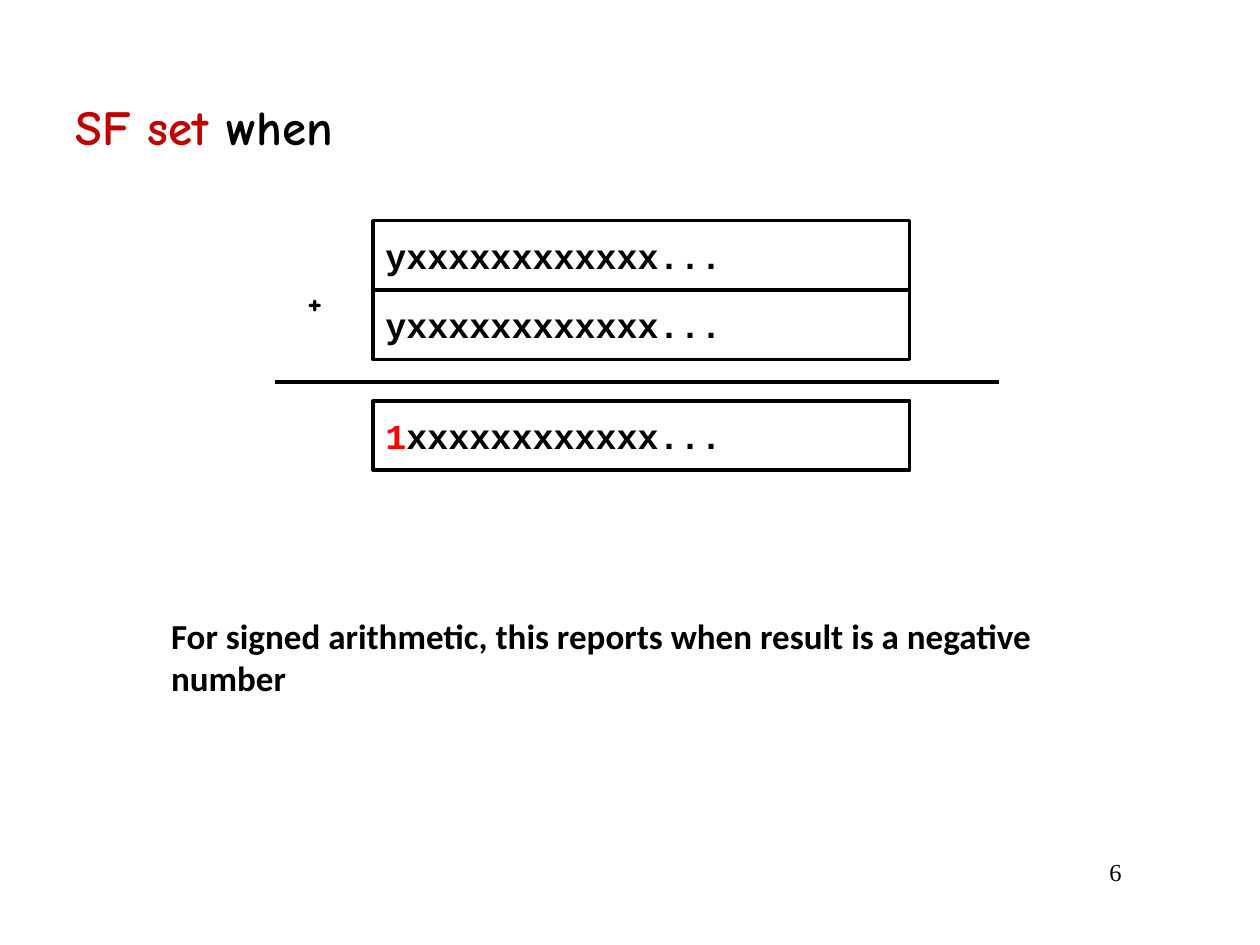
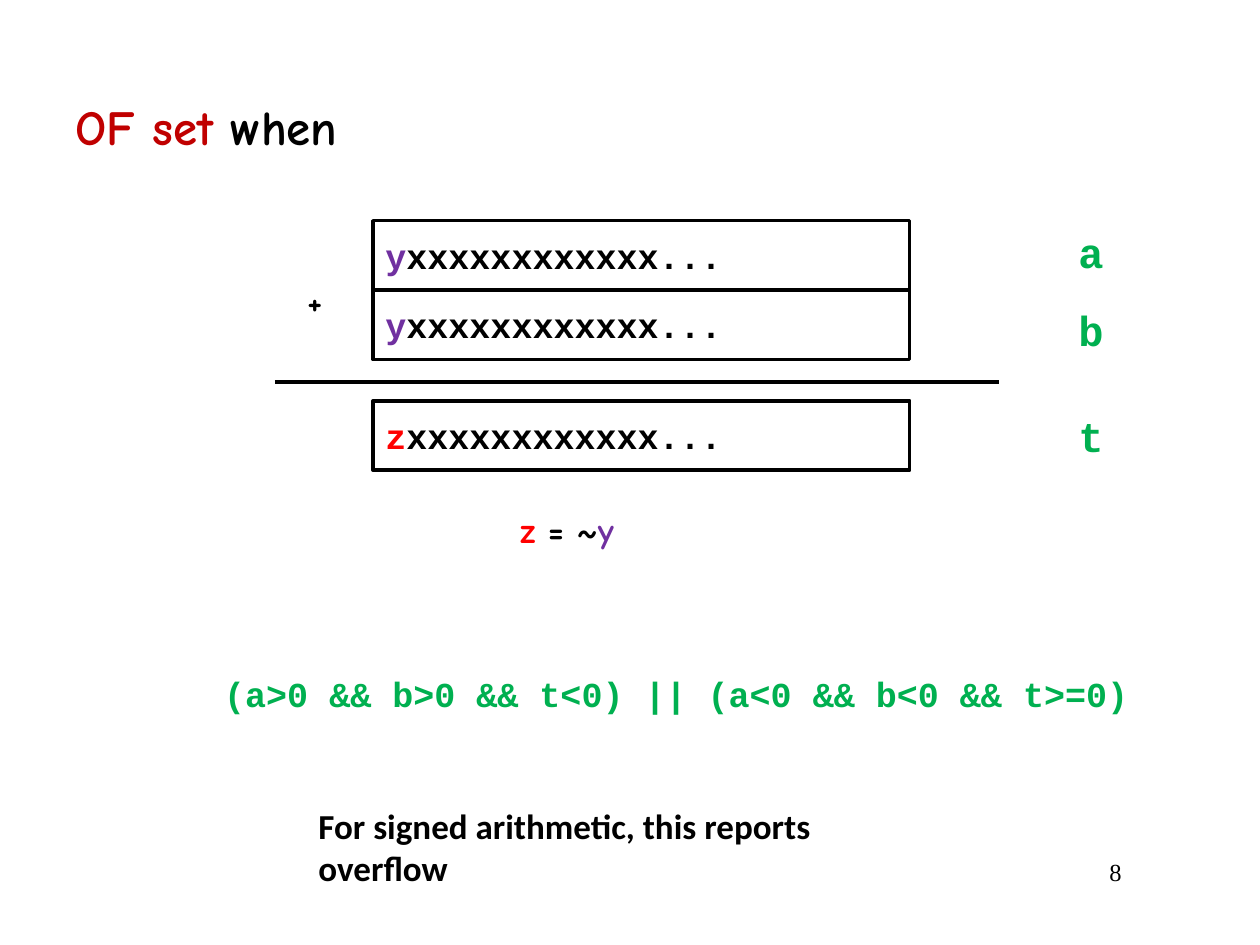
from pptx import Presentation
from pptx.dml.color import RGBColor
from pptx.enum.shapes import MSO_CONNECTOR, MSO_SHAPE
from pptx.enum.text import MSO_ANCHOR, PP_ALIGN
from pptx.oxml.ns import qn
from pptx.util import Cm, Pt
from lxml import etree

LINE, RECT = MSO_CONNECTOR.STRAIGHT, MSO_SHAPE.RECTANGLE
TOP, MIDDLE = MSO_ANCHOR.TOP, MSO_ANCHOR.MIDDLE
LEFT, RIGHT = PP_ALIGN.LEFT, PP_ALIGN.RIGHT

BLACK = RGBColor(0x00, 0x00, 0x00)
DARK_RED = RGBColor(0xC0, 0x00, 0x00)
RED = RGBColor(0xFF, 0x00, 0x00)
PURPLE = RGBColor(0x70, 0x30, 0xA0)
GREEN = RGBColor(0x00, 0xB0, 0x50)

HAND, BODY, CODE, SERIF = "Comic Neue", "Calibri", "Courier New", "Times New Roman"

BITS = "xxxxxxxxxxxx..."
ROW_LEFT, ROW_WIDTH, ROW_HEIGHT = 7.52, 10.82, 1.4
ROW_TOPS = (4.45, 4.45 + ROW_HEIGHT, 8.08)
LABEL_TOPS = (4.45, 6.02, 8.15)

SLIDES = [
    {
        "flag": "SF set ",
        "page": "6",
        "rows": [
            [("y" + BITS, BLACK)],
            [("y" + BITS, BLACK)],
            [("1", RED), (BITS, BLACK)],
        ],
        "labels": [],
        "texts": [
            ((3.2, 12.27, 19.96, 1.12), BODY, 0,
             [("For signed arithmetic, this reports when result is a negative number", BLACK)]),
        ],
    },
    {
        "flag": "OF set ",
        "page": "8",
        "rows": [
            [("y", PURPLE), (BITS, BLACK)],
            [("y", PURPLE), (BITS, BLACK)],
            [("z", RED), (BITS, BLACK)],
        ],
        "labels": ["a", "b", "t"],
        "texts": [
            ((10.24, 10.13, 3.94, 2.06), HAND, 0,
             [("z", RED), (" = ~", BLACK), ("y", PURPLE)]),
            ((6.17, 16.1, 13.06, 1.12), BODY, 0,
             [("For signed arithmetic, this reports overflow", BLACK)]),
            ((3.38, 13.44, 19.89, 1.12), CODE, 0.89,
             [("(a>0 && b>0 && t<0) || (a<0 && b<0 && t>=0)", GREEN)]),
        ],
    },
]


def write(sp, runs, font, size=20, bold=True, align=LEFT, anchor=TOP, indent=0):
    tf = sp.text_frame
    tf.word_wrap = True
    tf.vertical_anchor = anchor
    p = tf.paragraphs[0]
    p.alignment = align
    if indent:
        pPr = p._p.get_or_add_pPr()
        pPr.set("marL", str(Cm(indent)))
        pPr.set("indent", "0")
    for text, color in runs:
        r = p.add_run()
        r.text = text
        r.font.name = font
        r.font.size = Pt(size)
        r.font.bold = bold
        r.font.color.rgb = color


def add_text(s, box, runs, font, **style):
    write(s.shapes.add_textbox(*map(Cm, box)), runs, font, **style)


def add_row(s, top, runs):
    sp = s.shapes.add_shape(RECT, Cm(ROW_LEFT), Cm(top), Cm(ROW_WIDTH), Cm(ROW_HEIGHT))
    sp.shadow.inherit = False
    sp.fill.background()
    sp.line.color.rgb = BLACK
    sp.line.width = Pt(2)
    write(sp, runs, CODE, anchor=MIDDLE)


def add_sum_line(s):
    line = s.shapes.add_connector(LINE, Cm(5.54), Cm(7.7), Cm(20.14), Cm(7.7))
    line.line.color.rgb = BLACK
    line.line.width = Pt(2)
    etree.SubElement(line._element.spPr, qn("a:effectLst"))


prs = Presentation()
prs.slide_width, prs.slide_height = Cm(25.4), Cm(19.05)

for content in SLIDES:
    s = prs.slides.add_slide(prs.slide_layouts[6])
    add_text(s, (1.27, 1.27, 22.43, 2.54), [(content["flag"], DARK_RED), ("when", BLACK)],
             HAND, size=28, anchor=MIDDLE)
    for top, runs in zip(ROW_TOPS, content["rows"]):
        add_row(s, top, runs)
    add_sum_line(s)
    add_text(s, (5.94, 5.51, 1.27, 2.06), [("+", BLACK)], HAND)
    for box, font, indent, runs in content["texts"]:
        add_text(s, box, runs, font, indent=indent)
    for top, label in zip(LABEL_TOPS, content["labels"]):
        add_text(s, (21.49, top, 1.02, 1.27), [(label, GREEN)], CODE, size=24)
    add_text(s, (19.25, 17.15, 3.61, 1.27), [(content["page"], BLACK)],
             SERIF, size=14, bold=False, align=RIGHT)

prs.save("out.pptx")
